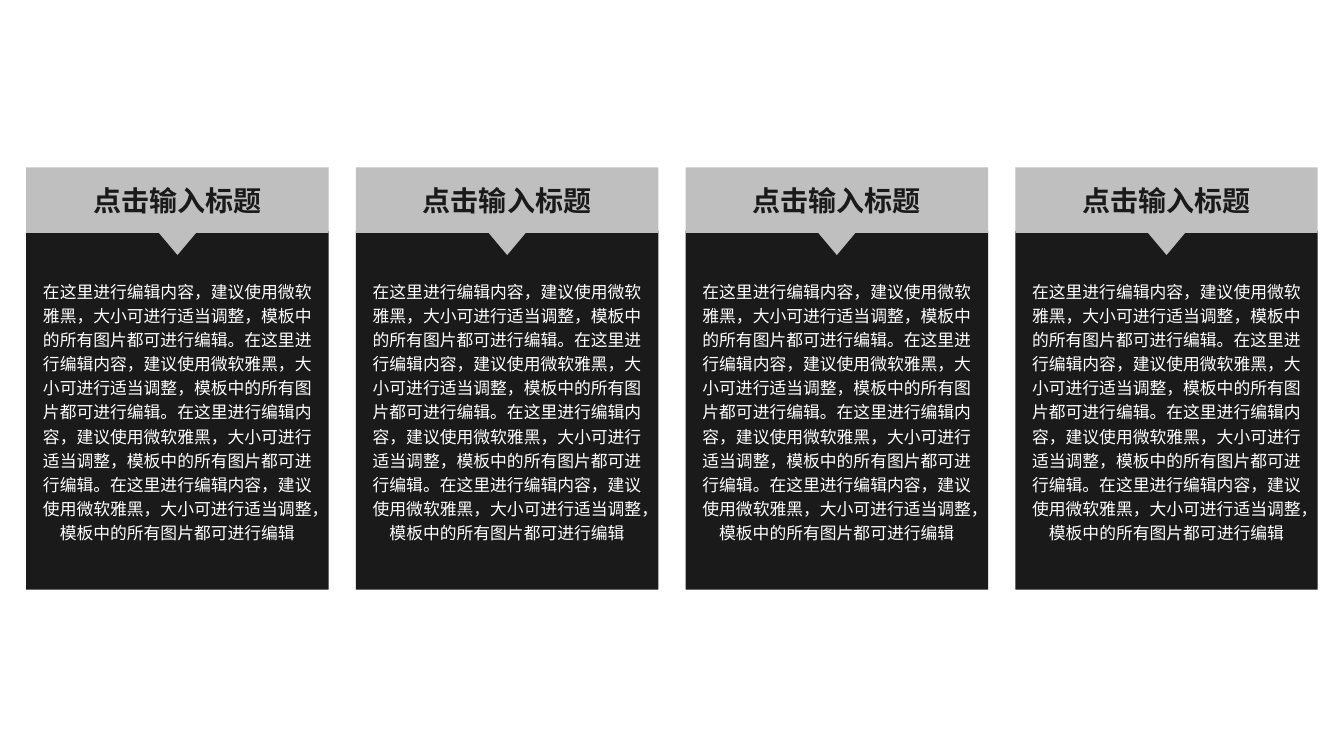
from pptx import Presentation
from pptx.dml.color import RGBColor
from pptx.enum.shapes import MSO_SHAPE as SHAPE
from pptx.enum.text import MSO_ANCHOR, PP_ALIGN
from pptx.oxml.ns import qn
from pptx.util import Inches, Pt
from lxml.etree import SubElement

FONT = "Noto Sans CJK SC"
DARK, GREY, WHITE = "1A1A1A", "BFBFBF", "FFFFFF"
TITLE_FORMAT = {"size": Pt(20), "bold": True}
BODY_FORMAT = {"size": Pt(12)}

TITLE = "点击输入标题"
SENTENCE = "在这里进行编辑内容，建议使用微软雅黑，大小可进行适当调整，模板中的所有图片都可进行编辑"
BODY = "。".join([SENTENCE] * 4)

COLUMNS, LEFT, TOP, PITCH = 4, 0.26, 1.66, 3.27
CARD_W, CARD_H = 3, 4.19
TITLE_H, BODY_OFFSET = 0.65, 0.63
POINTER_W, POINTER_H, POINTER_OFFSET = 0.42, 0.25, 0.62


def paint(color_format, color):
    color_format.rgb = RGBColor.from_string(color)


def add_block(shapes, kind, box, color):
    sp = shapes.add_shape(kind, *map(Inches, box))
    sp.shadow.inherit = False
    sp.fill.solid()
    paint(sp.fill.fore_color, color)
    sp.line.fill.background()
    return sp


def write(sp, text, color, formats, line_spacing=1.0):
    tf = sp.text_frame
    tf.word_wrap = True
    tf.vertical_anchor = MSO_ANCHOR.MIDDLE
    p = tf.paragraphs[0]
    p.alignment = PP_ALIGN.CENTER
    p.line_spacing = line_spacing
    r = p.add_run()
    r.text = text
    paint(r.font.color, color)
    for name, value in {"name": FONT, **formats}.items():
        setattr(r.font, name, value)
    # East Asian text takes its typeface from a:ea
    SubElement(r.font._element, qn("a:ea"), typeface=FONT)


def add_card(s, x, y, w, h):
    """Group a body panel, a title bar and a downward pointer in the box."""
    shapes = s.shapes.add_group_shape().shapes
    body_box = (x, y + BODY_OFFSET, w, h - BODY_OFFSET)
    body = add_block(shapes, SHAPE.RECTANGLE, body_box, DARK)
    write(body, BODY, WHITE, BODY_FORMAT, 1.2)

    title = add_block(shapes, SHAPE.RECTANGLE, (x, y, w, TITLE_H), GREY)
    write(title, TITLE, DARK, TITLE_FORMAT)

    pointer_box = (x + (w - POINTER_W) / 2, y + POINTER_OFFSET, POINTER_W, POINTER_H)
    pointer = add_block(shapes, SHAPE.ISOSCELES_TRIANGLE, pointer_box, GREY)
    pointer.rotation = 180


def main():
    prs = Presentation()
    prs.slide_width, prs.slide_height = Inches(13.33), Inches(7.5)
    s = prs.slides.add_slide(prs.slide_layouts[6])
    for column in range(COLUMNS):
        add_card(s, LEFT + column * PITCH, TOP, CARD_W, CARD_H)
    prs.save("out.pptx")


if __name__ == "__main__":
    main()
